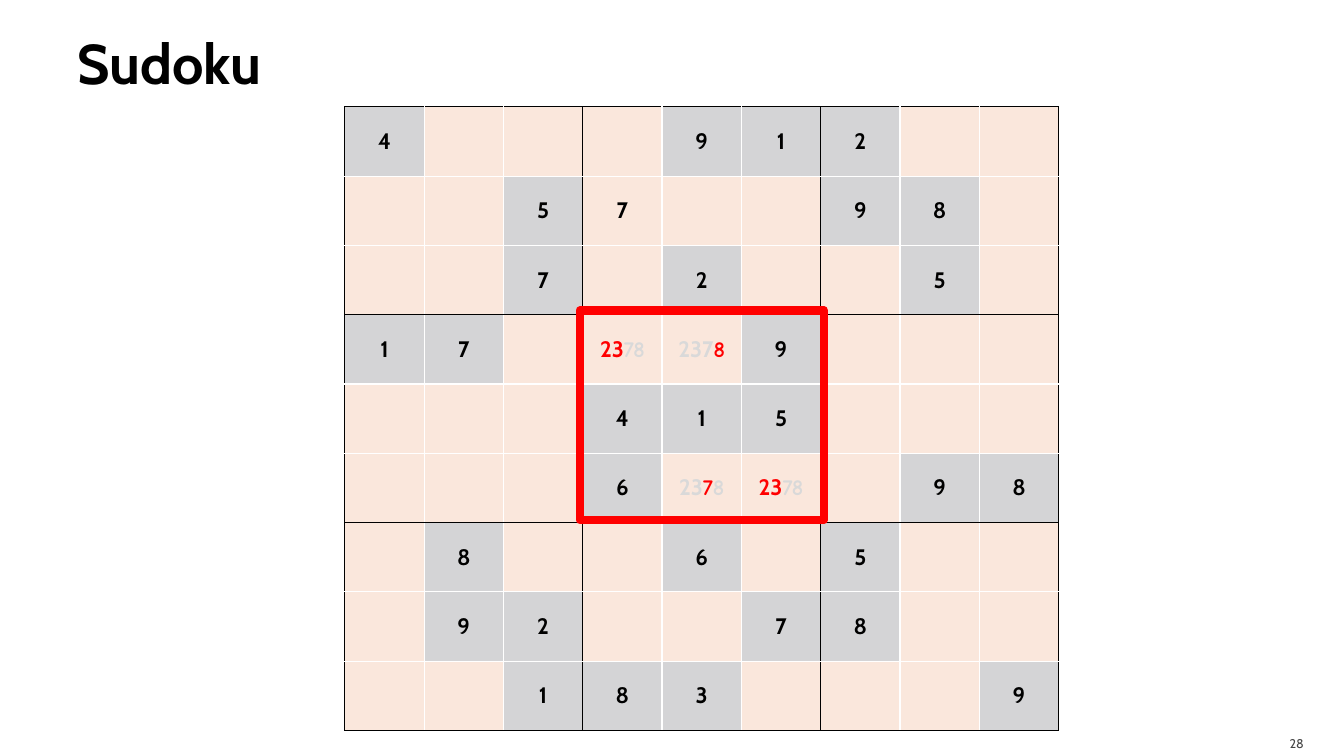
from pptx import Presentation
from pptx import util as u
from pptx.dml import color
from pptx.enum import shapes, text
from pptx.oxml import parse_xml
from pptx.oxml import ns

BLACK, WHITE, RED, FAINT = "000000", "FFFFFF", "FF0000", "D9D9D9"
GIVEN, OPEN = "D4D4D6", "FAE7DC"
SIZE, BOX = 9, 3

PUZZLE = [
    "4...912..",
    "..57..98.",
    "..7.2..5.",
    "17...9...",
    "...415...",
    "...6...98",
    ".8..6.5..",
    ".92..78..",
    "..183...9",
]
SOLVED = {(1, 3)}
CANDIDATES = {
    (3, 3): [("23", "Cabin", RED), ("78", "Comic Neue", FAINT)],
    (3, 4): [("237", "Cabin", FAINT), ("8", "Comic Neue", RED)],
    (5, 4): [("23", "Cabin", FAINT), ("7", "Comic Neue", RED), ("8", "Comic Neue", FAINT)],
    (5, 5): [("23", "Cabin", RED), ("78", "Comic Neue", FAINT)],
}


def rgb(value):
    """Return the colour for a hex string."""
    return color.RGBColor.from_string(value)


def set_all(obj, values):
    """Set every attribute named in a dict."""
    for name, value in values.items():
        setattr(obj, name, value)


def add_run(p, content, size, font="Cabin", fill=BLACK, bold=True):
    """Append a formatted run to a paragraph."""
    r = p.add_run()
    r.text = content
    set_all(r.font, {"size": u.Pt(size), "name": font, "bold": bold})
    r.font.color.rgb = rgb(fill)


def add_label(s, box, content, size, align, insets, **style):
    """Add a one-line text box."""
    tf = s.shapes.add_textbox(*map(u.Inches, box)).text_frame
    sides = ("margin_left", "margin_top", "margin_right", "margin_bottom")
    set_all(tf, dict(zip(sides, map(u.Inches, insets))))
    set_all(tf, {"word_wrap": True, "vertical_anchor": text.MSO_ANCHOR.MIDDLE})
    p = tf.paragraphs[0]
    p.alignment = align
    add_run(p, content, size, **style)


def set_borders(cell, row, col):
    """Draw black edges around each box and white ones inside it."""
    on_box_edge = {
        "lnL": col % BOX == 0,
        "lnR": col % BOX == BOX - 1,
        "lnT": row % BOX == 0,
        "lnB": row % BOX == BOX - 1,
    }
    tc_pr = cell._tc.get_or_add_tcPr()
    for i, (tag, edge) in enumerate(on_box_edge.items()):
        tc_pr.insert(i, parse_xml(
            f'<a:{tag} {ns.nsdecls("a")} w="{u.Pt(1)}"><a:solidFill>'
            f'<a:srgbClr val="{BLACK if edge else WHITE}"/></a:solidFill></a:{tag}>'))


def fill_cell(cell, row, col):
    """Write one square of the puzzle."""
    digit = PUZZLE[row][col]
    given = digit != "." and (row, col) not in SOLVED
    cell.fill.solid()
    cell.fill.fore_color.rgb = rgb(GIVEN if given else OPEN)
    cell.vertical_anchor = text.MSO_ANCHOR.MIDDLE
    p = cell.text_frame.paragraphs[0]
    p.alignment = text.PP_ALIGN.CENTER
    digits = [] if digit == "." else [(digit, "Cabin", BLACK)]
    for content, font, fill in CANDIDATES.get((row, col), digits):
        add_run(p, content, 16, font, fill)
    set_borders(cell, row, col)


def add_puzzle(s, left, top, width, height):
    """Add the puzzle as a table of equal squares."""
    table = s.shapes.add_table(SIZE, SIZE, *map(u.Inches, (left, top, width, height))).table
    set_all(table, {"first_row": False, "horz_banding": False})
    for column in table.columns:
        column.width = u.Inches(width / SIZE)
    for table_row in table.rows:
        table_row.height = u.Inches(height / SIZE)
    for row in range(SIZE):
        for col in range(SIZE):
            fill_cell(table.cell(row, col), row, col)


def add_frame(s, box):
    """Add the outline that marks the box under discussion."""
    sp = s.shapes.add_shape(shapes.MSO_SHAPE.RECTANGLE, *map(u.Inches, box))
    sp.shadow.inherit = False
    sp.fill.background()
    sp.line.color.rgb = rgb(RED)
    sp.line.width = u.Pt(6)


def main():
    """Build the slide and save it."""
    prs = Presentation()
    set_all(prs, {"slide_width": u.Inches(13.33), "slide_height": u.Inches(7.5)})
    s = prs.slides.add_slide(prs.slide_layouts[6])
    add_label(s, (0.67, 0.08, 12, 1.08), "Sudoku", 40, text.PP_ALIGN.LEFT,
              (0.1, 0.05, 0.05, 0.05))
    add_label(s, (11.96, 7.2, 1.07, 0.3), "28", 9, text.PP_ALIGN.RIGHT,
              (0.1, 0.05, 0.1, 0), fill="454545", bold=False)
    add_puzzle(s, 3.42, 1.06, 7.08, 6.19)
    add_frame(s, (5.75, 3.08, 2.42, 2.08))
    prs.save("out.pptx")


if __name__ == "__main__":
    main()
